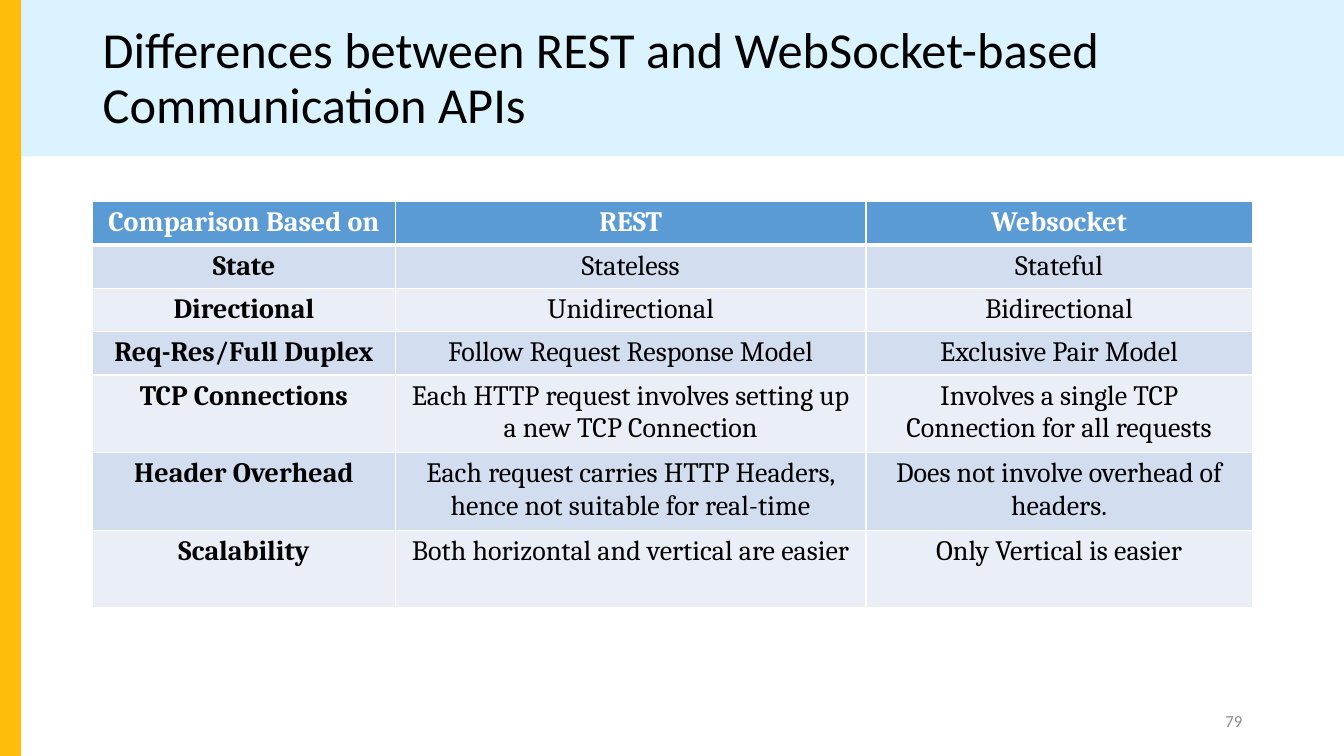
from lxml import etree
from pptx import Presentation
from pptx.dml.color import RGBColor
from pptx.enum import shapes, text
from pptx.oxml.ns import qn
from pptx.util import Inches, Pt

TITLE = "Differences between REST and WebSocket-based Communication APIs"
PAGE_NUMBER = "79"
COMPARISON = [
    ("Comparison Based on", "REST", "Websocket"),
    ("State", "Stateless", "Stateful"),
    ("Directional", "Unidirectional", "Bidirectional"),
    ("Req-Res/Full Duplex", "Follow Request Response Model", "Exclusive Pair Model"),
    ("TCP Connections", "Each HTTP request involves setting up a new TCP Connection",
     "Involves a single TCP Connection for all requests"),
    ("Header Overhead", "Each request carries HTTP Headers, hence not suitable for real-time",
     "Does not involve overhead of headers."),
    ("Scalability", "Both horizontal and vertical are easier", "Only Vertical is easier"),
]
COLUMN_WIDTHS = (3, 4.67, 3.83)
ROW_HEIGHTS = (0.43,) * 4 + (0.77,) * 3
COLORS = {
    "banner": "DAF3FE", "stripe": "FEBD0A", "header": "5B9BD5",
    "odd": "D2DEEF", "even": "EAEFF7", "white": "FFFFFF",
    "black": "000000", "grey": "8C8C8C",
}


def color(name):
    return RGBColor.from_string(COLORS[name])


def style(para, font_name, size, color_name, align, bold=False):
    para.alignment = align
    for span in para.runs:
        span.font.name = font_name
        span.font.size = Pt(size)
        span.font.bold = bold
        span.font.color.rgb = color(color_name)


def add_bar(page, bounds, color_name):
    bar = page.shapes.add_shape(shapes.MSO_SHAPE.RECTANGLE, *map(Inches, bounds))
    bar.shadow.inherit = False
    bar.fill.solid()
    bar.fill.fore_color.rgb = color(color_name)
    bar.line.fill.background()


def add_label(page, bounds, words, size, color_name, align):
    box = page.shapes.add_textbox(*map(Inches, bounds))
    frame = box.text_frame
    frame.word_wrap = True
    frame.vertical_anchor = text.MSO_ANCHOR.MIDDLE
    frame.text = words
    style(frame.paragraphs[0], "Calibri", size, color_name, align)
    return frame.paragraphs[0]


def set_borders(cell, widths):
    """Draw white borders; widths maps lnL, lnR, lnT and lnB to points."""
    properties = cell._tc.get_or_add_tcPr()
    for index, (side, width) in enumerate(widths.items()):
        line = etree.Element(qn(f"a:{side}"), w=str(Pt(width)))
        fill = etree.SubElement(line, qn("a:solidFill"))
        etree.SubElement(fill, qn("a:srgbClr"), val=COLORS["white"])
        properties.insert(index, line)


def add_comparison(page):
    table = page.shapes.add_table(
        len(COMPARISON), len(COLUMN_WIDTHS), Inches(0.92), Inches(2),
        Inches(sum(COLUMN_WIDTHS)), Inches(sum(ROW_HEIGHTS))).table
    for column, width in zip(table.columns, COLUMN_WIDTHS):
        column.width = Inches(width)
    for r, (words, height) in enumerate(zip(COMPARISON, ROW_HEIGHTS)):
        table.rows[r].height = Inches(height)
        band = "header" if r == 0 else "odd" if r % 2 else "even"
        for c, word in enumerate(words):
            cell = table.cell(r, c)
            cell.text = word
            cell.fill.solid()
            cell.fill.fore_color.rgb = color(band)
            style(cell.text_frame.paragraphs[0], "Cambria", 20,
                  "black" if r else "white", text.PP_ALIGN.CENTER, r == 0 or c == 0)
            set_borders(cell, {"lnL": 1, "lnR": 1, "lnT": 3 if r == 1 else 1,
                               "lnB": 1 if r else 3})


def main():
    deck = Presentation()
    deck.slide_width, deck.slide_height = Inches(13.33), Inches(7.5)
    page = deck.slides.add_slide(deck.slide_layouts[6])
    add_comparison(page)
    add_bar(page, (0, 0, 13.33, 1.55), "banner")
    add_bar(page, (-0.01, 0, 0.22, 7.5), "stripe")
    title = add_label(page, (0.92, 0.2, 11.5, 1.18), TITLE, 36, "black", text.PP_ALIGN.LEFT)
    title.line_spacing = 0.9
    add_label(page, (9.42, 6.95, 3, 0.4), PAGE_NUMBER, 12, "grey", text.PP_ALIGN.RIGHT)
    deck.save("out.pptx")


if __name__ == "__main__":
    main()
